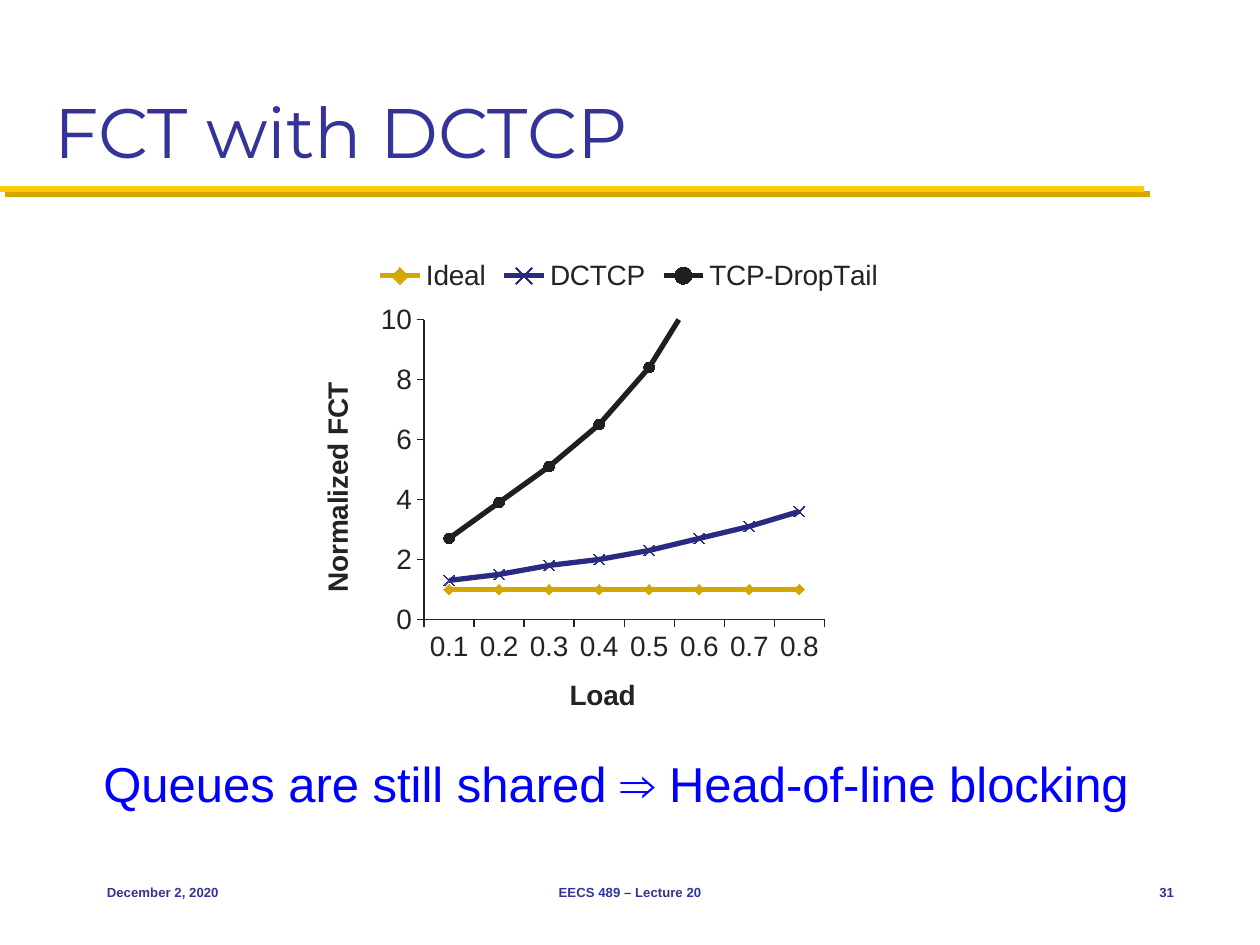
import pptx
import pptx.chart.data
import pptx.dml.color
import pptx.enum.chart
import pptx.enum.shapes
import pptx.enum.text
import pptx.oxml
import pptx.util
from dataclasses import dataclass
from typing import Any

Pt = pptx.util.Pt
Align = pptx.enum.text.PP_ALIGN
Anchor = pptx.enum.text.MSO_ANCHOR
Mark = pptx.enum.chart.XL_MARKER_STYLE
Tick = pptx.enum.chart.XL_TICK_MARK
NS = ('xmlns:a="http://schemas.openxmlformats.org/drawingml/2006/main" '
      'xmlns:c="http://schemas.openxmlformats.org/drawingml/2006/chart"')
INK = "232323"
NAVY = "333399"
GOLD = "D3A600"


@dataclass
class Label:
    text: str
    left: float
    top: float
    width: float
    height: float
    size: float
    color: str
    bold: bool = False
    align: Any = Align.LEFT
    anchor: Any = Anchor.MIDDLE
    face: str = "Arial"


@dataclass
class Trend:
    name: str
    vals: list[float]
    color: str
    mark: Any


LABELS = [
    Label("Queues are still shared ⇒ Head-of-line blocking",
          52, 427, 616, 41, 28, "0000FF", anchor=Anchor.TOP),
    Label("December 2, 2020", 54, 492, 150, 36, 7.5, NAVY, True),
    Label("EECS 489 – Lecture 20", 246, 492, 228, 36, 7.5, NAVY, True, Align.CENTER),
    Label("31", 630, 492, 48, 36, 7.5, NAVY, True, Align.RIGHT),
]
TRENDS = [
    Trend("Ideal", [1] * 8, GOLD, Mark.DIAMOND),
    Trend("DCTCP", [1.3, 1.5, 1.8, 2, 2.3, 2.7, 3.1, 3.6], "2A2A82", Mark.X),
    Trend("TCP-DropTail", [2.7, 3.9, 5.1, 6.5, 8.4, 11.1, 15.1, 20.4],
          "1F1F1F", Mark.CIRCLE),
]


def put(item: Any, vals: dict[str, Any]) -> None:
    for key, val in vals.items():
        setattr(item, key, val)


def tint(part: Any, code: str) -> None:
    part.rgb = pptx.dml.color.RGBColor.from_string(code)


def paint(line: Any, code: str, width: float) -> None:
    tint(line.color, code)
    line.width = Pt(width)


def style(font: Any, size: float, code: str, bold: bool, face: str) -> None:
    put(font, {"size": Pt(size), "bold": bold, "name": face})
    tint(font.color, code)


def write(shape: Any, label: Label, wrap: bool = False) -> None:
    put(shape, {"left": Pt(label.left), "top": Pt(label.top),
                "width": Pt(label.width), "height": Pt(label.height)})
    frame = shape.text_frame
    put(frame, {"text": label.text, "word_wrap": wrap,
                "auto_size": pptx.enum.text.MSO_AUTO_SIZE.NONE,
                "vertical_anchor": label.anchor})
    para = frame.paragraphs[0]
    para.alignment = label.align
    style(para.runs[0].font, label.size, label.color, label.bold, label.face)


def rule(slide: Any) -> None:
    line = slide.shapes.add_connector(
        pptx.enum.shapes.MSO_CONNECTOR.STRAIGHT, 0, Pt(108), Pt(654), Pt(108))
    paint(line.line, "FFCB05", 3.5)
    line._element.spPr.append(pptx.oxml.parse_xml(
        f'<a:effectLst {NS}><a:outerShdw dist="{Pt(4.2)}" dir="2700000" '
        f'algn="ctr" rotWithShape="0"><a:srgbClr val="{GOLD}"/>'
        '</a:outerShdw></a:effectLst>'))


def dress(axis: Any, title: str) -> None:
    put(axis, {"has_major_gridlines": False, "major_tick_mark": Tick.OUTSIDE,
               "minor_tick_mark": Tick.NONE})
    paint(axis.format.line, INK, 0.75)
    style(axis.tick_labels.font, 16, INK, False, "Arial")
    frame = axis.axis_title.text_frame
    frame.text = title
    style(frame.paragraphs[0].runs[0].font, 16, INK, True, "Arial")


def place(chart: Any, x: float, y: float, w: float, h: float) -> None:
    area = chart._chartSpace.chart.plotArea
    for old in area.findall("{*}layout"):
        area.remove(old)
    spots = "".join(f'<c:{key} val="{val}"/>' for key, val in (
        ("layoutTarget", "inner"), ("xMode", "edge"), ("yMode", "edge"),
        ("x", x), ("y", y), ("w", w), ("h", h)))
    area.insert(0, pptx.oxml.parse_xml(
        f'<c:layout {NS}><c:manualLayout>{spots}</c:manualLayout></c:layout>'))


def plot(slide: Any) -> None:
    data = pptx.chart.data.CategoryChartData()
    data.categories = [f"0.{n}" for n in range(1, 9)]
    for trend in TRENDS:
        data.add_series(trend.name, trend.vals)
    chart = slide.shapes.add_chart(
        pptx.enum.chart.XL_CHART_TYPE.LINE_MARKERS,
        Pt(80.5), Pt(140.5), Pt(558), Pt(281), data).chart
    style(chart.font, 16, INK, False, "Arial")
    put(chart, {"has_title": False, "has_legend": True})
    put(chart.legend, {"position": pptx.enum.chart.XL_LEGEND_POSITION.TOP,
                       "include_in_layout": False})
    style(chart.legend.font, 16, INK, False, "Arial")
    dress(chart.category_axis, "Load")
    dress(chart.value_axis, "Normalized FCT ")
    put(chart.value_axis, {"minimum_scale": 0, "maximum_scale": 10, "major_unit": 2})
    chart.plots[0].vary_by_categories = False
    for line, trend in zip(chart.plots[0].series, TRENDS):
        line.smooth = False
        paint(line.format.line, trend.color, 3)
        put(line.marker, {"style": trend.mark, "size": 6})
        form = line.marker.format
        paint(form.line, trend.color, 0.75)
        if trend.mark == Mark.X:
            form.fill.background()
        else:
            form.fill.solid()
            tint(form.fill.fore_color, trend.color)
    place(chart, 0.29, 0.15, 0.41, 0.61)


def main() -> None:
    deck = pptx.Presentation()
    put(deck, {"slide_width": Pt(720), "slide_height": Pt(540)})
    slide = deck.slides.add_slide(deck.slide_layouts[5])
    rule(slide)
    write(slide.shapes.title,
          Label("FCT with DCTCP", 24, 12, 672, 90, 40, NAVY,
                anchor=Anchor.BOTTOM, face="Montserrat"), True)
    plot(slide)
    for label in LABELS:
        write(slide.shapes.add_textbox(0, 0, 0, 0), label)
    deck.save("out.pptx")


if __name__ == "__main__":
    main()
